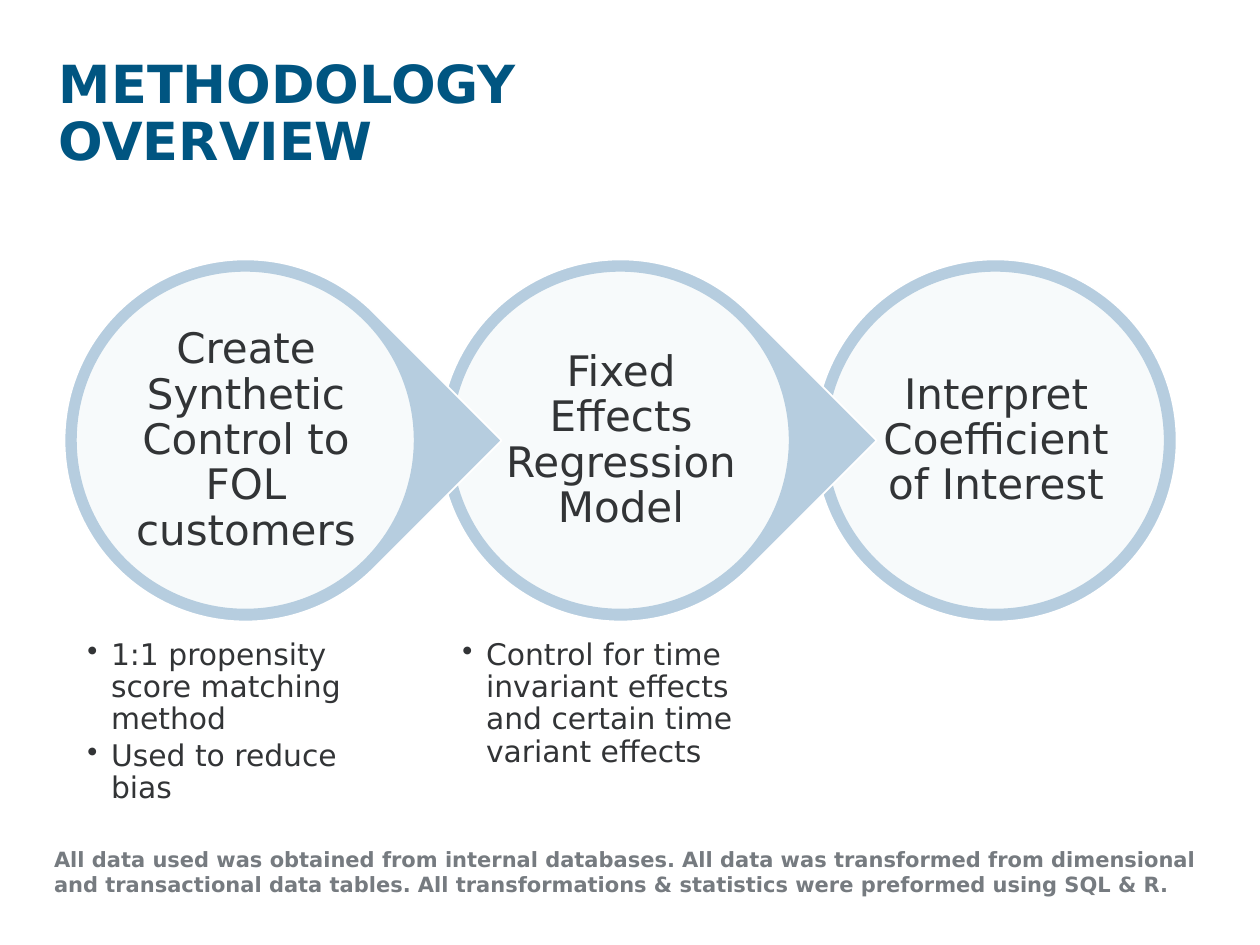
from lxml.etree import SubElement
from pptx import Presentation
from pptx.dml.color import RGBColor
from pptx.enum.shapes import MSO_SHAPE
from pptx.enum.text import MSO_ANCHOR, PP_ALIGN
from pptx.oxml.ns import qn
from pptx.util import Cm, Pt

FONT = "DejaVu Sans"
INK, BLUE, PALE, GREY, WHITE = "323436", "005581", "B6CDDF", "767B80", "FFFFFF"


def paint(color_format, color):
    color_format.rgb = RGBColor.from_string(color)


def add_text(box, lines, size, color, bold=False, inset=None, spacing=None, after=0):
    left, top, width, height = [Cm(length) for length in box]
    frame = slide.shapes.add_textbox(left, top, width, height).text_frame
    frame.word_wrap = True
    if inset is not None:
        frame.margin_left = frame.margin_right = Cm(inset)
        frame.margin_top = frame.margin_bottom = Cm(inset)
    frame.text = "\n".join(lines)
    for paragraph in frame.paragraphs:
        paragraph.line_spacing = spacing
        paragraph.space_after = Pt(after)
        font = paragraph.runs[0].font
        font.name, font.size, font.bold = FONT, Pt(size), bold
        paint(font.color, color)
    return frame


deck = Presentation()
deck.slide_width, deck.slide_height = Cm(25.4), Cm(19.05)
slide = deck.slides.add_slide(deck.slide_layouts[6])

add_text((1.19, 1.17, 15.75, 1.57), ["METHODOLOGY OVERVIEW"], 30, BLUE, True, 0, 0.9)

steps = [
    ("Create Synthetic Control to FOL customers",
     ["1:1 propensity score matching method", "Used to reduce bias"]),
    ("Fixed Effects Regression Model",
     ["Control for time invariant effects and certain time variant effects"]),
    ("Interpret Coefficient of Interest", []),
]
first_left, step_pitch, ring_top, ring_size = 1.3, 7.56, 5.23, 7.3
disc_inset, disc_size = 0.23, 6.83
label_inset, label_size = 1.22, 4.88

for index, (step, details) in reversed(list(enumerate(steps))):
    left = first_left + index * step_pitch
    is_last = index == len(steps) - 1
    disc_left, disc_top = left + disc_inset, ring_top + disc_inset

    ring = slide.shapes.add_shape(
        MSO_SHAPE.OVAL if is_last else MSO_SHAPE.TEAR,
        Cm(left), Cm(ring_top), Cm(ring_size), Cm(ring_size))
    if not is_last:
        ring.adjustments[0] = 1
        ring.rotation = 45
    disc = slide.shapes.add_shape(
        MSO_SHAPE.OVAL, Cm(disc_left), Cm(disc_top), Cm(disc_size), Cm(disc_size))
    for round_part, fill, outline in ((ring, PALE, WHITE), (disc, WHITE, PALE)):
        round_part.shadow.inherit = False
        round_part.fill.solid()
        paint(round_part.fill.fore_color, fill)
        paint(round_part.line.color, outline)
        round_part.line.width = Pt(1)
    disc_color = disc.fill._xPr.find(qn("a:solidFill"))[0]
    SubElement(disc_color, qn("a:alpha"), val="90000")

    label = add_text((left + label_inset, ring_top + label_inset, label_size, label_size),
                     [step], 24, INK, inset=0.08, spacing=0.9, after=8.4)
    label.vertical_anchor = MSO_ANCHOR.MIDDLE
    label.paragraphs[0].alignment = PP_ALIGN.CENTER

    if details:
        notes = add_text((disc_left, 12.67, disc_size, 4.01), details, 17, INK,
                         inset=0.23, spacing=0.9, after=2.55)
        for paragraph in notes.paragraphs:
            paragraph.level = 1
            properties = paragraph._p.get_or_add_pPr()
            properties.set("marL", str(Cm(0.48)))
            properties.set("indent", str(-Cm(0.48)))
            SubElement(properties, qn("a:buChar"), char="•")

add_text((0.84, 16.94, 23.7, 1.27),
         ["All data used was obtained from internal databases. All data was transformed "
          "from dimensional and transactional data tables. All transformations & "
          "statistics were preformed using SQL & R."], 12, GREY, True)

deck.save("out.pptx")
